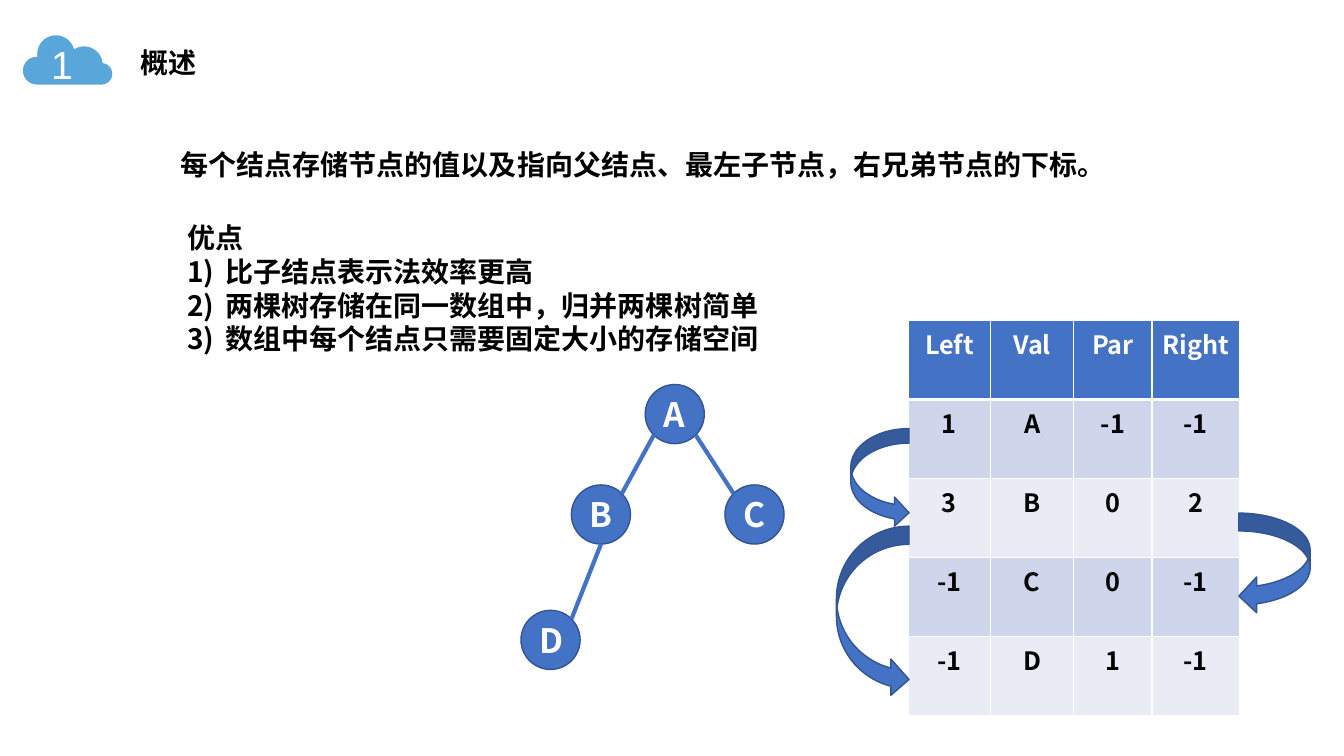
import math

from lxml import etree
from pptx import Presentation
from pptx.dml.color import RGBColor
from pptx.enum import shapes as kinds, text as layout
from pptx.oxml import ns
from pptx.util import Cm, Pt

BLACK = RGBColor(0x00, 0x00, 0x00)
WHITE = RGBColor(0xFF, 0xFF, 0xFF)
SKY = RGBColor(0x58, 0xA6, 0xDA)
BLUE = RGBColor(0x44, 0x72, 0xC4)
DARK_BLUE = RGBColor(0x32, 0x54, 0x91)
BAND_DARK = RGBColor(0xCF, 0xD5, 0xEA)
BAND_LIGHT = RGBColor(0xE9, 0xEB, 0xF5)

SANS = "Noto Sans CJK SC"
BODY = {"size": Pt(20), "bold": True, "name": SANS}
NODE = {"size": Pt(24), "bold": True, "name": SANS}
CELL = {"size": Pt(18), "bold": True, "name": SANS}
NUMBER = {"size": Pt(28), "bold": False, "name": "Arial"}


def add_xml(parent, tag, **attributes):
    return etree.SubElement(parent, ns.qn(tag), attributes)


def write(paragraph, words, style, color=BLACK, align=layout.PP_ALIGN.LEFT):
    paragraph.alignment = align
    run = paragraph.add_run()
    run.text = words
    run.font.color.rgb = color
    for name, value in style.items():
        setattr(run.font, name, value)
    add_xml(run.font._element, "a:ea", typeface=style["name"])


def add_text_frame(slide, left, top, width, height):
    box = slide.shapes.add_textbox(Cm(left), Cm(top), Cm(width), Cm(height))
    box.text_frame.word_wrap = True
    return box.text_frame


def paint(shape, fill, line=None):
    shape.shadow.inherit = False
    shape.fill.solid()
    shape.fill.fore_color.rgb = fill
    if line is None:
        shape.line.fill.background()
    else:
        shape.line.color.rgb = line
        shape.line.width = Pt(1)


def add_heading(slide, left, top):
    # Cloud outline: four arcs as centre x, centre y, radius, start and end angle
    arcs = [(0.35, 0.89, 0.35, 90, 273), (0.83, 0.47, 0.47, 172, 346),
            (1.54, 0.75, 0.47, 236, 352), (1.98, 0.97, 0.27, 275, 450)]
    points = []
    for x, y, radius, start, end in arcs:
        for step in range(25):
            angle = math.radians(start + (end - start) * step / 24)
            points.append((Cm(left + x + radius * math.cos(angle)),
                           Cm(top + y + radius * math.sin(angle))))
    builder = slide.shapes.build_freeform(*points[0])
    builder.add_line_segments(points[1:], close=True)
    paint(builder.convert_to_shape(), SKY)

    # Section number and title
    number = add_text_frame(slide, left + 0.46, top, 1.32, 1.45)
    write(number.paragraphs[0], "1", NUMBER, WHITE)
    title = add_text_frame(slide, left + 2.72, top + 0.13, 9.55, 1.12)
    write(title.paragraphs[0], "概述", BODY)


def add_summary(slide, left, top, width, height):
    paragraph = add_text_frame(slide, left, top, width, height).paragraphs[0]
    paragraph._p.get_or_add_pPr().set("indent", str(Cm(0.74)))
    write(paragraph, "每个结点存储节点的值以及指向父结点、最左子节点，右兄弟节点的下标。", BODY)


def add_advantages(slide, left, top, width, height):
    frame = add_text_frame(slide, left, top, width, height)
    write(frame.paragraphs[0], "优点", BODY, align=layout.PP_ALIGN.JUSTIFY)
    for item in ("比子结点表示法效率更高",
                 "两棵树存储在同一数组中，归并两棵树简单",
                 "数组中每个结点只需要固定大小的存储空间"):
        paragraph = frame.add_paragraph()
        properties = paragraph._p.get_or_add_pPr()
        properties.set("marL", str(Cm(0.96)))
        properties.set("indent", str(Cm(-0.96)))
        add_xml(properties, "a:buFont", typeface="+mj-lt")
        add_xml(properties, "a:buAutoNum", type="arabicParenR")
        write(paragraph, item, BODY, align=layout.PP_ALIGN.JUSTIFY)


def add_tree(slide, left, top):
    tree = slide.shapes.add_group_shape().shapes
    diameter = 1.49
    nodes = {"A": (3.13, 0), "B": (1.27, 2.53), "C": (5.14, 2.53), "D": (0, 5.69)}

    # Nodes
    for letter, (x, y) in nodes.items():
        node = tree.add_shape(kinds.MSO_SHAPE.OVAL, Cm(left + x), Cm(top + y),
                              Cm(diameter), Cm(diameter))
        paint(node, BLUE, DARK_BLUE)
        node.text_frame.vertical_anchor = layout.MSO_ANCHOR.MIDDLE
        write(node.text_frame.paragraphs[0], letter, NODE, WHITE, layout.PP_ALIGN.CENTER)

    # Edges, each end at an angle on its node's rim
    def rim(letter, degrees):
        x, y = nodes[letter]
        radius, angle = diameter / 2, math.radians(degrees)
        return (Cm(left + x + radius * (1 + math.cos(angle))),
                Cm(top + y + radius * (1 + math.sin(angle))))

    for parent, out_angle, child, in_angle in (
            ("A", 135, "B", 315), ("B", 90, "D", 315), ("A", 45, "C", 225)):
        edge = tree.add_connector(kinds.MSO_CONNECTOR.STRAIGHT,
                                  *rim(parent, out_angle), *rim(child, in_angle))
        edge.line.color.rgb = BLUE
        edge.line.width = Pt(3)
        add_xml(edge._element.spPr, "a:effectLst")


def set_border(cell, side, points):
    line = add_xml(cell._tc.get_or_add_tcPr(), "a:" + side, w=str(Pt(points)))
    add_xml(add_xml(line, "a:solidFill"), "a:srgbClr", val=str(WHITE))


def add_array(slide, left, top):
    rows = [("Left", "Val", "Par", "Right"),
            ("1", "A", "-1", "-1"),
            ("3", "B", "0", "2"),
            ("-1", "C", "0", "-1"),
            ("-1", "D", "1", "-1")]
    widths = [2.07, 2.1, 1.97, 2.2]
    row_height = 1.99
    table = slide.shapes.add_table(len(rows), len(widths), Cm(left), Cm(top),
                                   Cm(sum(widths)), Cm(row_height * len(rows))).table
    for column, width in zip(table.columns, widths):
        column.width = Cm(width)
    for r, values in enumerate(rows):
        table.rows[r].height = Cm(row_height)
        for c, value in enumerate(values):
            cell = table.cell(r, c)
            for side in ("lnL", "lnR", "lnT", "lnB"):
                thick = (r, side) in ((0, "lnB"), (1, "lnT"))
                set_border(cell, side, 3 if thick else 1)
            cell.fill.solid()
            cell.fill.fore_color.rgb = BLUE if r == 0 else (BAND_LIGHT, BAND_DARK)[r % 2]
            write(cell.text_frame.paragraphs[0], value, CELL,
                  WHITE if r == 0 else BLACK, layout.PP_ALIGN.CENTER)


def add_index_arrows(slide, left, top):
    arrows = slide.shapes.add_group_shape().shapes
    right_arrow = kinds.MSO_SHAPE.CURVED_RIGHT_ARROW
    left_arrow = kinds.MSO_SHAPE.CURVED_LEFT_ARROW
    for kind, x, y, width, height in ((right_arrow, 0.36, 0, 1.47, 2.49),
                                      (right_arrow, 0, 2.46, 1.83, 4.32),
                                      (left_arrow, 10.14, 2.13, 1.8, 2.54)):
        arrow = arrows.add_shape(kind, Cm(left + x), Cm(top + y), Cm(width), Cm(height))
        paint(arrow, BLUE, DARK_BLUE)


def main():
    presentation = Presentation()
    presentation.slide_width, presentation.slide_height = Cm(33.87), Cm(19.05)
    slide = presentation.slides.add_slide(presentation.slide_layouts[6])
    add_heading(slide, 0.58, 0.89)
    add_summary(slide, 3.56, 3.58, 24.77, 1.11)
    add_tree(slide, 13.13, 9.69)
    add_array(slide, 22.89, 8.08)
    add_index_arrows(slide, 21.08, 10.8)
    add_advantages(slide, 4.47, 5.44, 16.94, 3.68)
    presentation.save("out.pptx")


if __name__ == "__main__":
    main()
